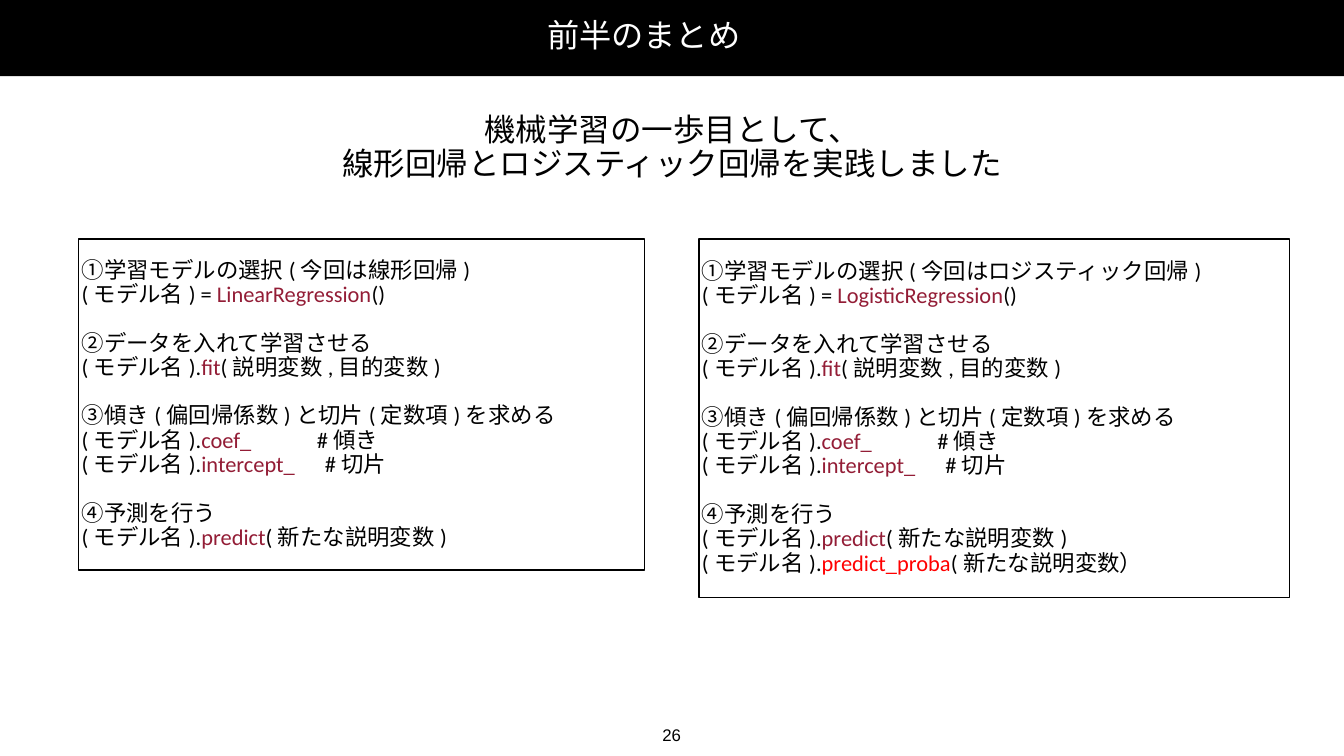
from dataclasses import dataclass

from lxml import etree
from pptx import Presentation
from pptx.dml.color import RGBColor
from pptx.enum.shapes import MSO_SHAPE
from pptx.enum.text import MSO_ANCHOR, PP_ALIGN
from pptx.oxml.ns import qn
from pptx.util import Inches, Pt

RECT = MSO_SHAPE.RECTANGLE
TOP, MIDDLE = MSO_ANCHOR.TOP, MSO_ANCHOR.MIDDLE
LEFT, CENTER = PP_ALIGN.LEFT, PP_ALIGN.CENTER


@dataclass(frozen=True)
class Theme:
    black: RGBColor = RGBColor(0x00, 0x00, 0x00)
    white: RGBColor = RGBColor(0xFF, 0xFF, 0xFF)
    method: RGBColor = RGBColor(0x93, 0x1D, 0x36)
    new_method: RGBColor = RGBColor(0xFF, 0x00, 0x00)
    font: str = "Calibri"
    number_font: str = "Arial"
    title: int = 46
    lead: int = 45
    body: int = 32
    number: int = 24
    line_spacing: float = 0.9
    step_gap: int = 35
    inset: float = 0.06


THEME = Theme()


def setup_frame(tf, anchor, wrap):
    tf.word_wrap = wrap
    tf.vertical_anchor = anchor
    tf.margin_left = tf.margin_right = Inches(THEME.inset)
    tf.margin_top = tf.margin_bottom = Inches(THEME.inset)


def style_run(r, size, color, font=THEME.font):
    r.font.size = Pt(size)
    r.font.name = font
    r.font.color.rgb = color


def add_rect(slide, box):
    sp = slide.shapes.add_shape(RECT, *map(Inches, box))
    sp.shadow.inherit = False
    return sp


def add_text(slide, box, text, size, color=THEME.black, font=THEME.font,
             align=CENTER, anchor=MIDDLE, spacing=THEME.line_spacing):
    tf = slide.shapes.add_textbox(*map(Inches, box)).text_frame
    setup_frame(tf, anchor, wrap=False)
    tf.text = text
    for p in tf.paragraphs:
        p.alignment = align
        p.line_spacing = spacing
        for r in p.runs:
            style_run(r, size, color, font)


def add_tab_stop(p, inches):
    tabs = etree.SubElement(p._p.get_or_add_pPr(), qn("a:tabLst"))
    etree.SubElement(tabs, qn("a:tab"), pos=str(Inches(inches)), algn="l")


def add_header(slide, box):
    left, top, width, height = box
    bar = add_rect(slide, box)
    bar.fill.solid()
    bar.fill.fore_color.rgb = THEME.black
    bar.line.fill.background()
    add_text(slide, (left + 10.8, top + 0.37, 3.98, 0.81), "前半のまとめ",
             THEME.title, THEME.white, align=LEFT)


def model_steps(kind, class_name):
    """Steps as lists of lines; a line is (before, method, after, tab stop)."""
    model = "(モデル名)."
    return [
        [(f"①学習モデルの選択(今回は{kind})", "", "", None),
         ("(モデル名) = ", class_name, "()", None)],
        [("②データを入れて学習させる", "", "", None),
         (model, "fit", "(説明変数,目的変数)", None)],
        [("③傾き(偏回帰係数)と切片(定数項)を求める", "", "", None),
         (model, "coef_", "\t#傾き", 4.67),
         (model, "intercept_", "\t#切片", 4.83)],
        [("④予測を行う", "", "", None),
         (model, "predict", "(新たな説明変数)", None)],
    ]


def add_model_panel(slide, box, steps):
    panel = add_rect(slide, box)
    panel.fill.background()
    panel.line.color.rgb = THEME.black
    panel.line.width = Pt(2)
    tf = panel.text_frame
    setup_frame(tf, MIDDLE, wrap=True)
    p = tf.paragraphs[0]
    for i, step in enumerate(steps):
        for j, (before, method, after, tab) in enumerate(step):
            if i or j:
                p = tf.add_paragraph()
            p.alignment = LEFT
            p.line_spacing = THEME.line_spacing
            if i and j == 0:
                p.space_before = Pt(THEME.step_gap)
            if tab:
                add_tab_stop(p, tab)
            accent = THEME.new_method if method == "predict_proba" else THEME.method
            for text, color in ((before, THEME.black), (method, accent),
                                (after, THEME.black)):
                if text:
                    r = p.add_run()
                    r.text = text
                    style_run(r, THEME.body, color)


def main():
    prs = Presentation()
    prs.slide_width, prs.slide_height = Inches(26.67), Inches(15)
    slide = prs.slides.add_slide(prs.slide_layouts[6])

    add_header(slide, (0, -0.04, 26.67, 1.55))
    add_text(slide, (6.71, 2.1, 13.25, 1.69),
             "機械学習の一歩目として、\n線形回帰とロジスティック回帰を実践しました", THEME.lead)

    linear = model_steps("線形回帰", "LinearRegression")
    logistic = model_steps("ロジスティック回帰", "LogisticRegression")
    logistic[-1].append(("(モデル名).", "predict_proba", "(新たな説明変数）", None))
    add_model_panel(slide, (1.56, 4.74, 11.23, 6.57), linear)
    add_model_panel(slide, (13.87, 4.74, 11.72, 7.11), logistic)

    add_text(slide, (13.08, 14.31, 0.5, 0.5), "26", THEME.number,
             font=THEME.number_font, anchor=TOP, spacing=1.0)
    prs.save("out.pptx")


if __name__ == "__main__":
    main()
